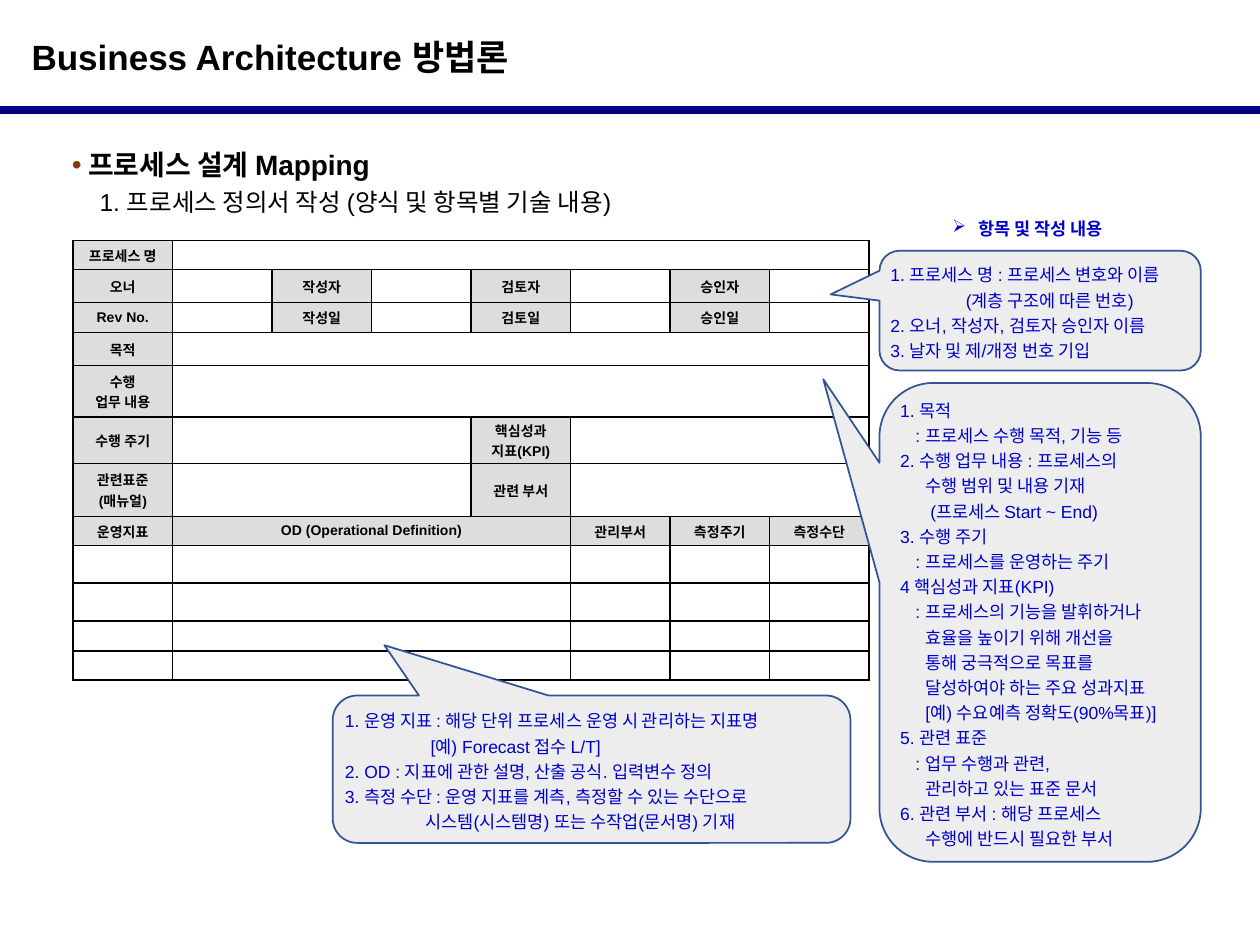
from lxml import etree
from pptx import Presentation
from pptx.dml.color import RGBColor
from pptx.enum.shapes import MSO_CONNECTOR, MSO_SHAPE
from pptx.enum.text import MSO_ANCHOR, MSO_AUTO_SIZE, PP_ALIGN
from pptx.oxml.ns import qn
from pptx.util import Inches, Pt

LEFT, CENTER, JUSTIFY = PP_ALIGN.LEFT, PP_ALIGN.CENTER, PP_ALIGN.JUSTIFY
TOP, MIDDLE = MSO_ANCHOR.TOP, MSO_ANCHOR.MIDDLE
CALLOUT, STRAIGHT = MSO_SHAPE.ROUNDED_RECTANGULAR_CALLOUT, MSO_CONNECTOR.STRAIGHT
NO_FIT = MSO_AUTO_SIZE.NONE

THEME = {
    "font": "Arial", "ink": "000000", "note": "0000CC", "rule": "000080",
    "dot": "843C0B", "head": "DDDDDD", "cell": "FFFFFF",
    "bubble": "EDEDED", "edge": "325491",
    "title": 20, "topic": 16, "step": 14, "small": 10, "grid": 8,
}
SPACE = 0.04  # width of one indent step in the notes

TITLE = "Business Architecture 방법론"
TOPIC = "프로세스 설계 Mapping"
STEP = "1. 프로세스 정의서 작성 (양식 및 항목별 기술 내용)"
LABEL = "항목 및 작성 내용"

# Each row: height, then (text, columns spanned)
BLANK = [("", 1), ("", 4), ("", 1), ("", 1), ("", 1)]
FORM = [
    (0.23, [("프로세스 명", 1), ("", 7)]),
    (0.26, [("오너", 1), ("", 1), ("작성자", 1), ("", 1),
            ("검토자", 1), ("", 1), ("승인자", 1), ("", 1)]),
    (0.24, [("Rev No.", 1), ("", 1), ("작성일", 1), ("", 1),
            ("검토일", 1), ("", 1), ("승인일", 1), ("", 1)]),
    (0.26, [("목적", 1), ("", 7)]),
    (0.41, [("수행\n업무 내용", 1), ("", 7)]),
    (0.37, [("수행 주기", 1), ("", 3), ("핵심성과\n지표(KPI)", 1), ("", 3)]),
    (0.42, [("관련표준\n(매뉴얼)", 1), ("", 3), ("관련 부서", 1), ("", 3)]),
    (0.23, [("운영지표", 1), ("OD (Operational Definition)", 4),
            ("관리부서", 1), ("측정주기", 1), ("측정수단", 1)]),
    (0.30, BLANK), (0.30, BLANK), (0.24, BLANK), (0.23, BLANK),
]
COLS, COL_W = 8, 0.79

# Each note: box, pointer tip, then (indent steps, text)
NOTES = [
    ((6.98, 1.99, 2.55, 0.95), (-0.652, -0.135), [
        (0, "1. 프로세스 명 : 프로세스 변호와 이름"),
        (15, "(계층 구조에 따른 번호)"),
        (0, "2. 오너, 작성자, 검토자 승인자 이름"),
        (0, "3. 날자 및 제/개정 번호 기입")]),
    ((6.98, 3.04, 2.55, 3.8), (-0.675, -0.508), [
        (0, "1. 목적"),
        (3, ": 프로세스 수행 목적, 기능 등"),
        (0, "2. 수행 업무 내용 : 프로세스의"),
        (5, "수행 범위 및 내용 기재"),
        (6, "(프로세스 Start ~ End)"),
        (0, "3. 수행 주기"),
        (3, ": 프로세스를 운영하는 주기"),
        (0, "4 핵심성과 지표(KPI)"),
        (3, ": 프로세스의 기능을 발휘하거나"),
        (5, "효율을 높이기 위해 개선을"),
        (5, "통해 궁극적으로 목표를"),
        (5, "달성하여야 하는 주요 성과지표"),
        (5, "[예) 수요예측 정확도(90%목표)]"),
        (0, "5. 관련 표준"),
        (3, ": 업무 수행과 관련,"),
        (5, "관리하고 있는 표준 문서"),
        (0, "6. 관련 부서 : 해당 프로세스"),
        (5, "수행에 반드시 필요한 부서")]),
    ((2.64, 5.52, 4.11, 1.17), (-0.4, -0.841), [
        (0, "1. 운영 지표 : 해당 단위 프로세스 운영 시 관리하는 지표명"),
        (17, "[예) Forecast 접수 L/T]"),
        (0, "2. OD : 지표에 관한 설명, 산출 공식. 입력변수 정의"),
        (0, "3. 측정 수단 : 운영 지표를 계측, 측정할 수 있는 수단으로"),
        (16, "시스템(시스템명) 또는 수작업(문서명) 기재")]),
]


def color(name):
    return RGBColor.from_string(THEME[name])


def put(obj, **vals):
    for key, val in vals.items():
        setattr(obj, key, val)


def place(shape, *box):
    put(shape, **dict(zip(("left", "top", "width", "height"), map(Inches, box))))


def frame(tf, anchor, side, edge=0.05):
    put(tf, word_wrap=True, auto_size=NO_FIT, vertical_anchor=anchor,
        margin_left=Inches(side), margin_right=Inches(side),
        margin_top=Inches(edge), margin_bottom=Inches(edge))


def write(para, text, size, ink="ink", bold=False, align=LEFT, space=1.0,
          margin=0, indent=0, bullet=None, dot=None):
    put(para, alignment=align, line_spacing=space, space_before=Pt(0))
    run = para.add_run()
    run.text = text
    put(run.font, name=THEME["font"], size=Pt(THEME[size]), bold=bold)
    run.font.color.rgb = color(ink)
    props = para._p.get_or_add_pPr()
    props.set("marL", str(Inches(margin)))
    props.set("indent", str(Inches(indent)))
    if dot:
        tint = etree.SubElement(props, qn("a:buClr"))
        etree.SubElement(tint, qn("a:srgbClr"), val=THEME[dot])
    if bullet:
        etree.SubElement(props, qn("a:buChar"), char=bullet)
    else:
        etree.SubElement(props, qn("a:buNone"))


def border(cell):
    props = cell._tc.get_or_add_tcPr()
    for side in ("lnL", "lnR", "lnT", "lnB"):
        line = etree.SubElement(props, qn("a:" + side), w=str(Pt(1)))
        fill = etree.SubElement(line, qn("a:solidFill"))
        etree.SubElement(fill, qn("a:srgbClr"), val=THEME["ink"])


def paint(cell, text):
    """Fill one form cell; a cell with text is a grey heading."""
    cell.fill.solid()
    cell.fill.fore_color.rgb = color("head" if text else "cell")
    put(cell, vertical_anchor=MIDDLE, margin_top=Inches(0.02),
        margin_bottom=Inches(0.02))
    tf = cell.text_frame
    for i, line in enumerate(text.split("\n")):
        para = tf.add_paragraph() if i else tf.paragraphs[0]
        if line:
            write(para, line, "grid", bold=True, align=CENTER)
        else:
            etree.SubElement(para._p, qn("a:endParaRPr"),
                             sz=str(THEME["grid"] * 100))


def add_form(slide):
    high = sum(row[0] for row in FORM)
    table = slide.shapes.add_table(len(FORM), COLS, Inches(0.58), Inches(1.91),
                                   Inches(COLS * COL_W), Inches(high)).table
    put(table, first_row=False, horz_banding=False)
    for col in table.columns:
        col.width = Inches(COL_W)
    for r, (tall, cells) in enumerate(FORM):
        table.rows[r].height = Inches(tall)
        spot = 0
        for text, span in cells:
            for c in range(spot, spot + span):
                border(table.cell(r, c))
                paint(table.cell(r, c), text if c == spot else "")
            if span > 1:
                table.cell(r, spot).merge(table.cell(r, spot + span - 1))
            spot += span


def add_note(slide, box, tip, lines):
    shape = slide.shapes.add_shape(CALLOUT, *map(Inches, box))
    shape.shadow.inherit = False
    for i, val in enumerate((*tip, 0.167)):
        shape.adjustments[i] = val
    shape.fill.solid()
    shape.fill.fore_color.rgb = color("bubble")
    shape.line.color.rgb = color("edge")
    shape.line.width = Pt(1)
    tf = shape.text_frame
    frame(tf, MIDDLE, 0.04)
    for i, (steps, text) in enumerate(lines):
        para = tf.add_paragraph() if i else tf.paragraphs[0]
        write(para, text, "small", "note", space=1.2, indent=steps * SPACE)


def main():
    deck = Presentation()
    put(deck, slide_width=Inches(10), slide_height=Inches(7.5))
    slide = deck.slides.add_slide(deck.slide_layouts[1])
    title, body = slide.placeholders

    place(title, 0, 0.23, 10, 0.44)
    frame(title.text_frame, MIDDLE, 0.25)
    write(title.text_frame.paragraphs[0], TITLE, "title", bold=True)

    rule = slide.shapes.add_connector(STRAIGHT, 0, Inches(0.87),
                                      Inches(10), Inches(0.87))
    rule.line.color.rgb = color("rule")
    rule.line.width = Pt(4.5)
    etree.SubElement(rule._element.spPr, qn("a:effectLst"))

    place(body, 0.47, 1.07, 9.06, 0.71)
    tf = body.text_frame
    frame(tf, TOP, 0.1)
    write(tf.paragraphs[0], TOPIC, "topic", bold=True, align=JUSTIFY, space=1.2,
          margin=0.13, indent=-0.13, bullet="•", dot="dot")
    write(tf.add_paragraph(), STEP, "step", align=JUSTIFY, space=1.2, margin=0.22)

    add_form(slide)
    label = slide.shapes.add_textbox(*map(Inches, (7.46, 1.68, 1.6, 0.27)))
    frame(label.text_frame, TOP, 0.1)
    write(label.text_frame.paragraphs[0], LABEL, "small", "note", bold=True,
          margin=0.21, indent=-0.21, bullet="➢")
    for note in NOTES:
        add_note(slide, *note)
    deck.save("out.pptx")


if __name__ == "__main__":
    main()
